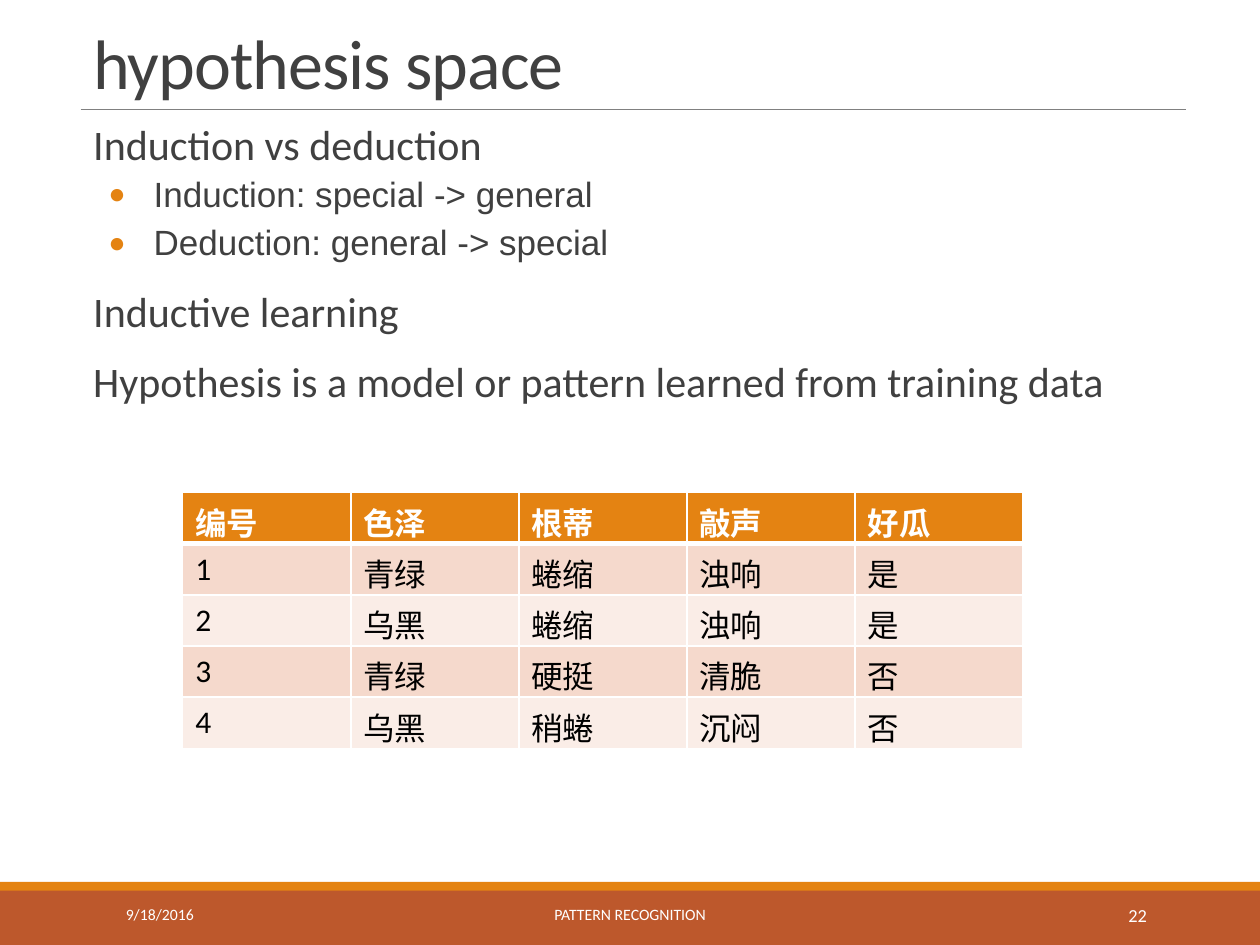
import pptx
import pptx.dml.color
import pptx.enum.shapes
import pptx.enum.text
import pptx.oxml.ns
import pptx.util
from dataclasses import dataclass
from lxml import etree

Inches = pptx.util.Inches
Pt = pptx.util.Pt
ALIGN = pptx.enum.text.PP_ALIGN
ANCHOR = pptx.enum.text.MSO_ANCHOR
qn = pptx.oxml.ns.qn


@dataclass(frozen=True)
class Theme:
    orange: str = "E48312"
    rust: str = "BD582C"
    ink: str = "404040"
    rule: str = "808080"
    white: str = "FFFFFF"
    black: str = "000000"
    bands: tuple = ("F5D9CC", "FAEDE7")
    font: str = "Calibri"
    point_font: str = "Arial"
    title_size: float = 40
    topic_size: float = 24
    point_size: float = 20
    cell_size: float = 18
    footer_size: float = 9
    number_size: float = 10.5


THEME = Theme()

OUTLINE = [
    (0, "Induction vs deduction"),
    (1, "Induction: special -> general"),
    (1, "Deduction: general -> special"),
    (0, "Inductive learning"),
    (0, "Hypothesis is a model or pattern learned from training data"),
]

MELONS = [
    ("编号", "色泽", "根蒂", "敲声", "好瓜"),
    ("1", "青绿", "蜷缩", "浊响", "是"),
    ("2", "乌黑", "蜷缩", "浊响", "是"),
    ("3", "青绿", "硬挺", "清脆", "否"),
    ("4", "乌黑", "稍蜷", "沉闷", "否"),
]


def rgb(color):
    return pptx.dml.color.RGBColor.from_string(color)


def style(paragraph, size, color, font=THEME.font, bold=False):
    paragraph.font.name = font
    paragraph.font.size = Pt(size)
    paragraph.font.bold = bold
    paragraph.font.color.rgb = rgb(color)


def add_band(slide, top, height, color):
    band = slide.shapes.add_shape(
        pptx.enum.shapes.MSO_SHAPE.RECTANGLE,
        0, Inches(top), Inches(10), Inches(height))
    band.shadow.inherit = False
    band.fill.solid()
    band.fill.fore_color.rgb = rgb(color)
    band.line.fill.background()


def add_rule(slide, left, right, y):
    rule = slide.shapes.add_connector(
        pptx.enum.shapes.MSO_CONNECTOR.STRAIGHT,
        Inches(left), Inches(y), Inches(right), Inches(y))
    rule.line.color.rgb = rgb(THEME.rule)
    rule.line.width = Pt(0.5)
    etree.SubElement(rule._element.spPr, qn("a:effectLst"))


def add_frame(slide, left, top, width, height, anchor):
    box = slide.shapes.add_textbox(
        Inches(left), Inches(top), Inches(width), Inches(height))
    frame = box.text_frame
    frame.word_wrap = True
    frame.vertical_anchor = anchor
    return frame


def add_title(slide, text):
    frame = add_frame(slide, 0.64, 0.13, 8.77, 0.74, ANCHOR.BOTTOM)
    heading = frame.paragraphs[0]
    run = heading.add_run()
    run.text = text
    run._r.get_or_add_rPr().set("spc", "-50")
    heading.line_spacing = 0.85
    style(heading, THEME.title_size, THEME.ink)


def set_indent(paragraph, left, hanging=0, bullet=None):
    props = paragraph._p.get_or_add_pPr()
    props.set("marL", str(Inches(left)))
    props.set("indent", str(-Inches(hanging)))
    if bullet:
        color = etree.SubElement(props, qn("a:buClr"))
        etree.SubElement(color, qn("a:srgbClr"), val=THEME.orange)
        etree.SubElement(props, qn("a:buFont"), typeface=THEME.font)
        etree.SubElement(props, qn("a:buChar"), char=bullet)


def add_outline(slide, entries):
    frame = add_frame(slide, 0.64, 0.94, 8.77, 5.95, ANCHOR.TOP)
    frame.margin_left = frame.margin_right = 0
    for index, (level, text) in enumerate(entries):
        entry = frame.add_paragraph() if index else frame.paragraphs[0]
        entry.text = text
        entry.level = level
        entry.line_spacing = 0.9
        before, after = (2, 4) if level else (12, 2)
        entry.space_before = Pt(before if index else 0)
        entry.space_after = Pt(after)
        if level:
            set_indent(entry, 0.58, 0.36, "•")
            style(entry, THEME.point_size, THEME.ink, THEME.point_font)
        else:
            set_indent(entry, 0.1)
            style(entry, THEME.topic_size, THEME.ink)


def set_border(cell, side, width):
    border = etree.SubElement(
        cell._tc.get_or_add_tcPr(), qn("a:" + side), w=str(Pt(width)))
    fill = etree.SubElement(border, qn("a:solidFill"))
    etree.SubElement(fill, qn("a:srgbClr"), val=THEME.white)


def add_melon_table(slide, rows):
    table = slide.shapes.add_table(
        len(rows), len(rows[0]),
        Inches(1.45), Inches(3.91), Inches(6.67), Inches(2.03)).table
    for r, values in enumerate(rows):
        header = r == 0
        fill = THEME.orange if header else THEME.bands[(r - 1) % 2]
        color = THEME.white if header else THEME.black
        # The line under the header is heavier than the rest
        widths = {"lnL": 1, "lnR": 1,
                  "lnT": 3 if r == 1 else 1, "lnB": 3 if header else 1}
        for c, value in enumerate(values):
            cell = table.cell(r, c)
            for side, width in widths.items():
                set_border(cell, side, width)
            cell.fill.solid()
            cell.fill.fore_color.rgb = rgb(fill)
            cell.text = value
            style(cell.text_frame.paragraphs[0],
                  THEME.cell_size, color, bold=header)


def add_footer(slide, left, width, text, size, align):
    frame = add_frame(slide, left, 7.06, width, 0.4, ANCHOR.MIDDLE)
    note = frame.paragraphs[0]
    note.text = text
    note.alignment = align
    style(note, size, THEME.white)


def main():
    deck = pptx.Presentation()
    deck.slide_width, deck.slide_height = Inches(10), Inches(7.5)
    slide = deck.slides.add_slide(deck.slide_layouts[6])

    # Footer bands and title rule
    add_band(slide, 7.06, 0.44, THEME.rust)
    add_band(slide, 7, 0.07, THEME.orange)
    add_rule(slide, 0.64, 9.41, 0.87)

    # Title and outline
    add_title(slide, "hypothesis space")
    add_outline(slide, OUTLINE)

    # Footer texts
    add_footer(slide, 0.9, 2.03, "9/18/2016", THEME.footer_size, ALIGN.LEFT)
    add_footer(slide, 3.02, 3.96, "PATTERN RECOGNITION",
               THEME.footer_size, ALIGN.CENTER)
    add_footer(slide, 8.12, 1.08, "22", THEME.number_size, ALIGN.RIGHT)

    # Training data
    add_melon_table(slide, MELONS)

    deck.save("out.pptx")


if __name__ == "__main__":
    main()
